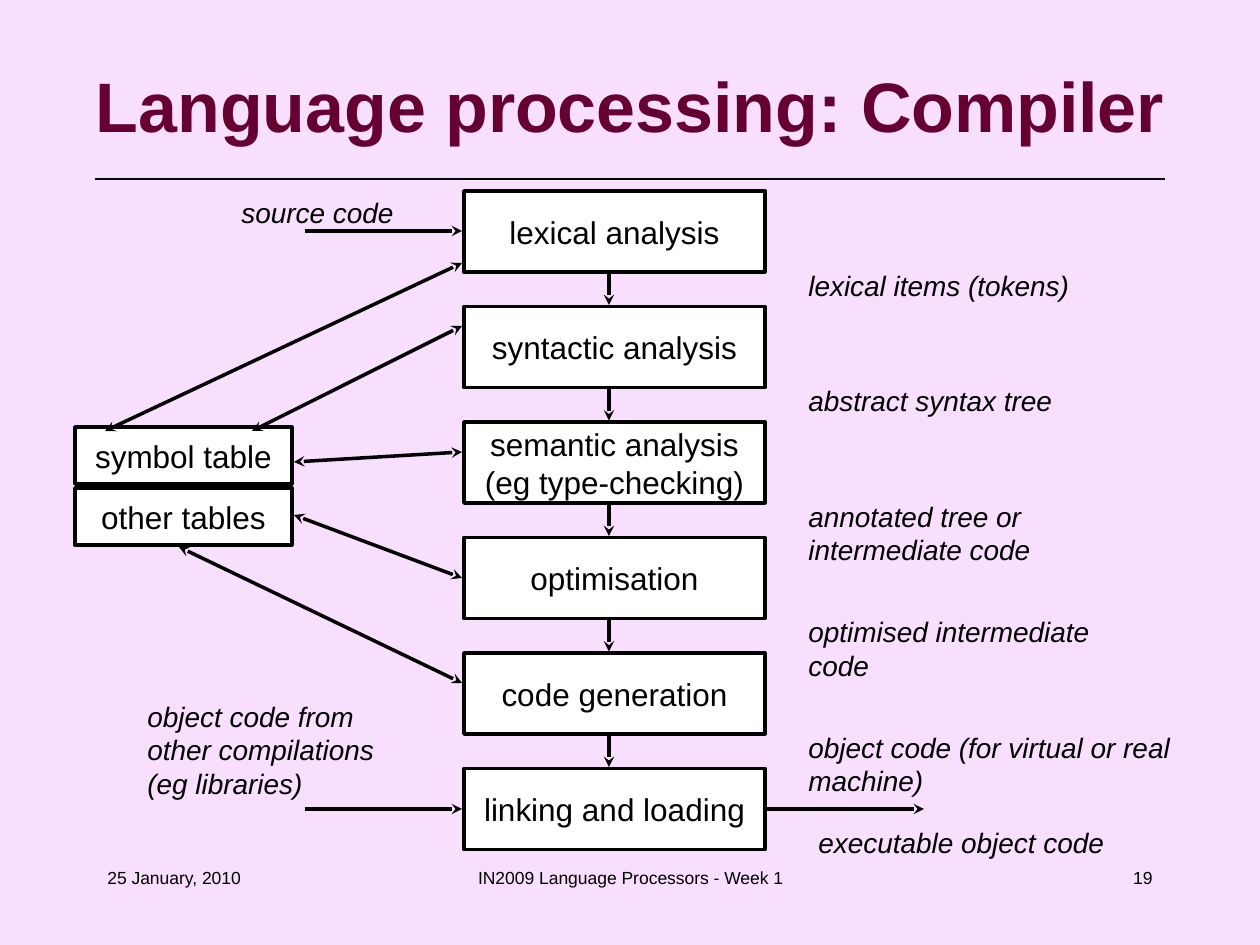
from pptx import Presentation
from pptx.dml.color import RGBColor
from pptx.enum.shapes import MSO_CONNECTOR, MSO_SHAPE
from pptx.enum.text import MSO_ANCHOR, MSO_AUTO_SIZE, PP_ALIGN
from pptx.oxml.ns import qn
from pptx.util import Pt
from lxml.etree import SubElement

TITLE = "Language processing: Compiler"
STAGES = ["lexical analysis", "syntactic analysis", "semantic analysis\n(eg type-checking)",
          "optimisation", "code generation", "linking and loading"]
RESULTS = [("lexical items (tokens)", 286), ("abstract syntax tree", 270),
           ("annotated tree or \nintermediate code", 247),
           ("optimised intermediate\ncode", 306),
           ("object code (for virtual or real\nmachine)", 387)]
SIDE_NOTES = [("source code", 229, 189, 178), ("executable object code", 806, 819, 311),
              ("object code from\nother compilations\n(eg libraries)", 135, 693, 252)]
TABLES = ["symbol table", "other tables"]
FLOWS = [(305, 231, 462, 231), (305, 809, 462, 809), (766, 809, 924, 809)]
LOOKUPS = [(462, 263, 105, 431), (462, 326, 252, 431), (462, 452, 294, 462),
           (462, 578, 294, 515), (462, 683, 179, 547)]
FOOTERS = [("25 January, 2010", 95, 262, PP_ALIGN.LEFT),
           ("IN2009 Language Processors - Week 1", 431, 399, PP_ALIGN.CENTER),
           ("19", 903, 262, PP_ALIGN.RIGHT)]

THEME = {"font": "Arial", "background": "F7DFFD", "title": "660033", "ink": "000000",
         "box": "FFFFFF", "title_size": 40, "box_size": 18, "note_size": 16,
         "footer_size": 10, "rule": 0.75, "stroke": 2}

SCALE = 914400 / 126
STAGE_LEFT, STAGE_TOP, STAGE_WIDTH, STAGE_HEIGHT, STAGE_PITCH = 464, 191, 301, 81, 115.5
TABLE_LEFT, TABLE_TOP, TABLE_WIDTH, TABLE_HEIGHT, TABLE_PITCH = 75, 427, 217, 57, 61
RESULT_LEFT, RESULT_TOP, RESULT_HEIGHT = 796, 262, 47
ARROW_X = 609


def px(*lengths):
    return [round(length * SCALE) for length in lengths]


def color(key):
    return RGBColor.from_string(THEME[key])


def write(frame, text, size, ink="ink", align=PP_ALIGN.LEFT, bold=False, italic=False):
    frame.text = text
    for paragraph in frame.paragraphs:
        paragraph.alignment = align
        font = paragraph.font
        font.name, font.size = THEME["font"], Pt(THEME[size])
        font.bold, font.italic = bold, italic
        font.color.rgb = color(ink)


def add_box(shapes, text, left, top, width, height):
    box = shapes.add_shape(MSO_SHAPE.RECTANGLE, *px(left, top, width, height))
    box.shadow.inherit = False
    box.fill.solid()
    box.fill.fore_color.rgb = color("box")
    box.line.color.rgb = color("ink")
    box.line.width = Pt(THEME["stroke"])
    frame = box.text_frame
    frame.word_wrap = False
    frame.vertical_anchor = MSO_ANCHOR.MIDDLE
    write(frame, text, "box_size", align=PP_ALIGN.CENTER)


def add_note(text, left, top, width):
    height = RESULT_HEIGHT + 33 * text.count("\n")
    frame = slide.shapes.add_textbox(*px(left, top, width, height)).text_frame
    frame.word_wrap = False
    frame.auto_size = MSO_AUTO_SIZE.SHAPE_TO_FIT_TEXT
    write(frame, text, "note_size", italic=True)


def add_line(ends, weight="stroke", arrows=()):
    line = slide.shapes.add_connector(MSO_CONNECTOR.STRAIGHT, *px(*ends))
    line.line.color.rgb = color("ink")
    line.line.width = Pt(THEME[weight])
    outline = line.line._get_or_add_ln()
    for arrow in arrows:
        SubElement(outline, qn(f"a:{arrow}"), type="stealth")
    SubElement(line._element.spPr, qn("a:effectLst"))


presentation = Presentation()
presentation.slide_width, presentation.slide_height = px(1260, 945)
slide = presentation.slides.add_slide(presentation.slide_layouts[5])
slide.background.fill.solid()
slide.background.fill.fore_color.rgb = color("background")

add_line((95, 179, 1165, 179), "rule")
title = slide.shapes.title
title.left, title.top, title.width, title.height = px(63, 42, 1134, 126)
title.text_frame.auto_size = MSO_AUTO_SIZE.NONE
title.text_frame.vertical_anchor = MSO_ANCHOR.MIDDLE
write(title.text_frame, TITLE, "title_size", "title", PP_ALIGN.CENTER, bold=True)

for index, stage in enumerate(STAGES):
    add_box(slide.shapes, stage, STAGE_LEFT, STAGE_TOP + index * STAGE_PITCH,
            STAGE_WIDTH, STAGE_HEIGHT)

for index, (result, width) in enumerate(RESULTS):
    offset = index * STAGE_PITCH
    add_line((ARROW_X, 273 + offset, ARROW_X, 305 + offset), arrows=["tailEnd"])
    add_note(result, RESULT_LEFT, RESULT_TOP + offset, width)

for note in SIDE_NOTES:
    add_note(*note)

tables = slide.shapes.add_group_shape()
for index, table in enumerate(TABLES):
    add_box(tables.shapes, table, TABLE_LEFT, TABLE_TOP + index * TABLE_PITCH,
            TABLE_WIDTH, TABLE_HEIGHT)

for flow in FLOWS:
    add_line(flow, arrows=["tailEnd"])
for lookup in LOOKUPS:
    add_line(lookup, arrows=["headEnd", "tailEnd"])

for text, left, width, align in FOOTERS:
    frame = slide.shapes.add_textbox(*px(left, 861, width, 63)).text_frame
    frame.word_wrap = True
    write(frame, text, "footer_size", align=align)

presentation.save("out.pptx")
